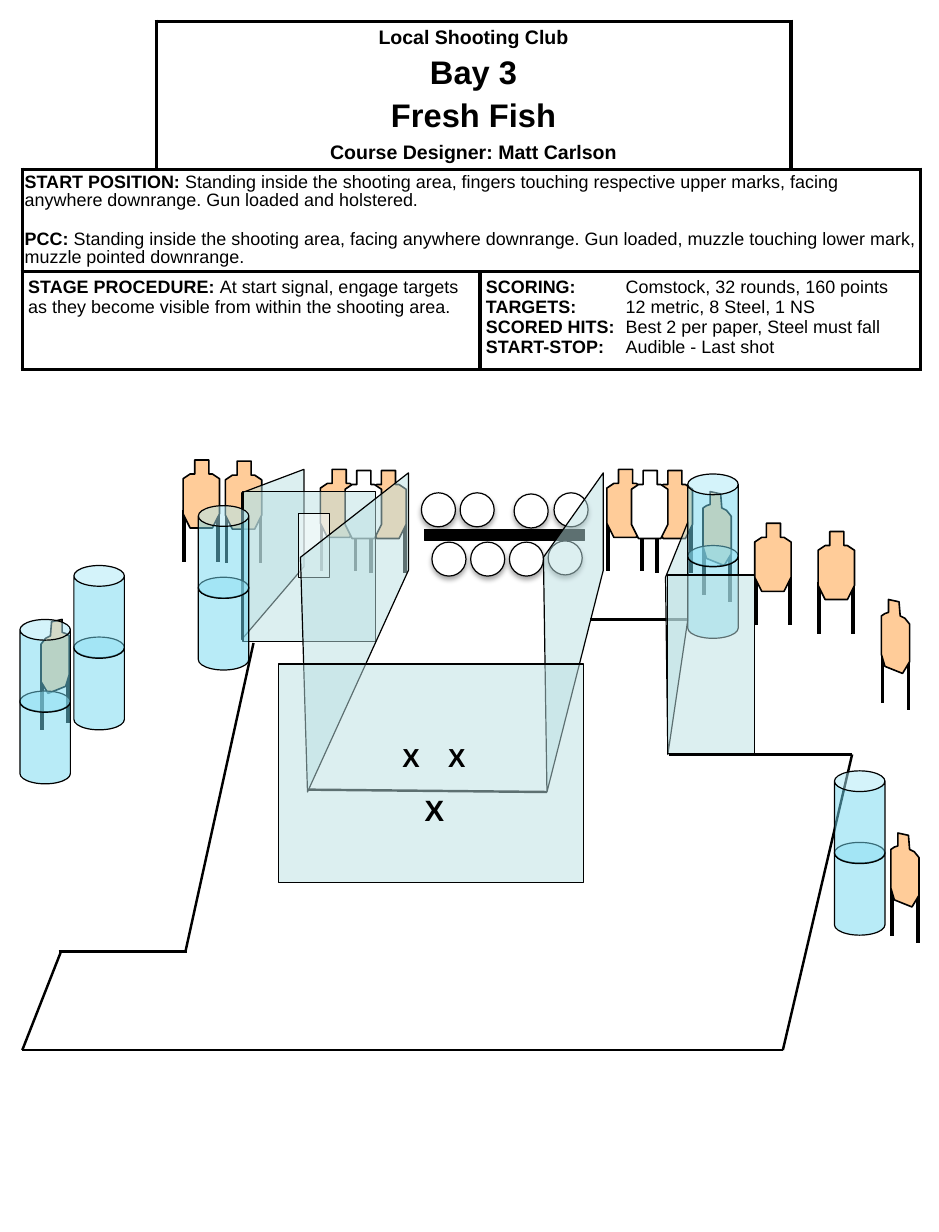
from lxml import etree
from pptx import Presentation
from pptx.dml.color import RGBColor
from pptx.enum.shapes import MSO_CONNECTOR, MSO_SHAPE
from pptx.enum.text import MSO_ANCHOR, PP_ALIGN
from pptx.oxml.ns import qn
from pptx.util import Cm, Pt

STRAIGHT, RECT = MSO_CONNECTOR.STRAIGHT, MSO_SHAPE.RECTANGLE
OVAL, CAN = MSO_SHAPE.OVAL, MSO_SHAPE.CAN
CENTER, LEFT = PP_ALIGN.CENTER, PP_ALIGN.LEFT
TOP, MIDDLE = MSO_ANCHOR.TOP, MSO_ANCHOR.MIDDLE
BLACK = RGBColor(0, 0, 0)
WHITE = RGBColor(255, 255, 255)
CARDBOARD = RGBColor(0xFF, 0xCC, 0x99)
GLASS = RGBColor(0xBB, 0xE0, 0xE3)
BARREL = RGBColor(0x73, 0xD9, 0xF1)

TITLE = [[("Local Shooting Club", True)], [("Bay 3", True)],
         [("Fresh Fish", True)], [("Course Designer: Matt Carlson", True)]]
START = [
    [("START POSITION:", True),
     (" Standing inside the shooting area, fingers touching respective upper marks, "
      "facing anywhere downrange. Gun loaded and holstered.", False)],
    [("PCC: ", True),
     ("Standing inside the shooting area, facing anywhere downrange. Gun loaded, "
      "muzzle touching lower mark, muzzle pointed downrange.", False)],
]
PROCEDURE = [[("STAGE PROCEDURE: ", True),
              ("At start signal, engage targets as they become visible from within "
               "the shooting area.", False)]]
SCORING = [[(label, True), ("\t" + value, False)] for label, value in (
    ("SCORING:", "Comstock, 32 rounds, 160 points"),
    ("TARGETS:", "12 metric, 8 Steel, 1 NS"),
    ("SCORED HITS:", "Best 2 per paper, Steel must fall"),
    ("START-STOP:", "Audible - Last shot"),
)]
COLUMNS = [1.14, 2.76, 2.65, 1.1]
ROWS = [1.26, 0.87, 0.83]
CELLS = [
    (0, 0, 0, "RB", (0.05, 0.05), MIDDLE, [], {}),
    (0, 1, 2, "LRTB", (0.05, 0.05), MIDDLE, TITLE,
     dict(sizes=(12, 20, 20, 12), align=CENTER, before=(0, 4, 4, 4.2))),
    (0, 3, 3, "LB", (0.05, 0.05), MIDDLE, [], {}),
    (1, 0, 3, "LRTB", (0.02, 0.04), TOP, START, dict(before=(0, 13), spacing=0.9)),
    (2, 0, 1, "LRTB", (0.05, 0.05), TOP, PROCEDURE, {}),
    (2, 2, 3, "LRTB", (0.05, 0.05), TOP, SCORING, dict(tab=1.19)),
]

FACING = ([(.10, 0), (.22, 0), (.22, .12), (.25, .12), (.31, .16), (.31, .46),
           (.25, .58), (.06, .58), (0, .46), (0, .16), (.06, .12), (.10, .12)],
          [(.01, .43), (.30, .43)])
TURNED = ([(.15, .02), (.06, 0), (.06, .11), (.03, .12), (0, .14), (0, .47),
           (.03, .57), (.18, .63), (.24, .53), (.24, .21), (.20, .16), (.16, .14)],
          [(.23, .50), (.01, .44)])
MIRRORED = tuple([(round(.24 - x, 2), y) for x, y in part] for part in TURNED)
LEG = 0.44

SCENE = [
    ("line", (6.67, 8.95), (7.26, 6.43)),
    ("targets", TURNED, [(7.51, 5.11)]),
    ("line", (1.58, 8.11), (2.16, 5.48)),
    ("targets", FACING, [(1.92, 3.93)]),
    ("targets", FACING, [(1.56, 3.92)]),
    ("targets", FACING, [(2.73, 4), (3.15, 4.01)], (2.94, 4.01)),
    ("wall", [(2.59, 4.83), (2.06, 5.45), (2.06, 4.2), (2.59, 4)]),
    ("panel", (2.07, 4.19, 1.13, 1.28), GLASS),
    ("panel", (2.54, 4.38, 0.27, 0.54), WHITE),
    ("targets", FACING, [(5.17, 4), (5.59, 4.01)], (5.38, 4.01)),
    ("targets", TURNED, [(5.99, 4.19)]),
    ("table",),
    ("line", (2.62, 6.73), (4.66, 6.75)),
    ("rack", (3.62, 4.51, 1.36, 0.1),
     [(3.59, 4.2), (3.92, 4.2), (4.38, 4.21), (4.72, 4.2),
      (3.68, 4.62), (4.01, 4.62), (4.34, 4.62), (4.67, 4.61)]),
    ("wall", [(3.48, 4.86), (2.62, 6.75), (2.56, 4.75), (3.48, 4.03)]),
    ("wall", [(5.14, 4.86), (4.66, 6.75), (4.63, 4.75), (5.14, 4.03)]),
    ("panel", (2.37, 5.66, 2.6, 1.86), GLASS),
    ("line", (5.03, 5.28), (5.86, 5.28)),
    ("wall", [(5.86, 5.28), (5.69, 6.43), (5.67, 4.92), (5.86, 4.45)]),
    ("barrels", (5.86, 4.04)),
    ("line", (5.7, 6.43), (7.26, 6.43)),
    ("targets", FACING, [(6.43, 4.46)]),
    ("panel", (5.69, 4.9, 0.74, 1.52), GLASS),
    ("targets", FACING, [(6.97, 4.53)]),
    ("line", (0.5, 8.11), (1.59, 8.11)),
    ("line", (0.19, 8.95), (0.52, 8.11)),
    ("targets", MIRRORED, [(0.35, 5.28)]),
    ("barrels", (1.69, 4.31)),
    ("barrels", (0.17, 5.28)),
    ("barrels", (7.11, 6.57)),
    ("targets", TURNED, [(7.59, 7.1)]),
    ("line", (0.19, 8.95), (6.67, 8.95)),
    ("barrels", (0.63, 4.82)),
    ("mark", (3.33, 6.27, 0.91, 0.37), "X\tX", 16, True),
    ("mark", (3.52, 6.7, 0.37, 0.4), "X", 18, False),
]


def inch(value):
    return Cm(value * 2.54)


def write(frame, paragraphs, sizes=None, align=LEFT, before=None, spacing=None, tab=None):
    for i, runs in enumerate(paragraphs):
        paragraph = frame.paragraphs[0] if i == 0 else frame.add_paragraph()
        if tab:
            stops = etree.SubElement(paragraph._p.get_or_add_pPr(), qn("a:tabLst"))
            etree.SubElement(stops, qn("a:tab"), pos=str(inch(tab)), algn="l")
        paragraph.alignment = align
        if spacing:
            paragraph.line_spacing = spacing
        if before and i:
            paragraph.space_before = Pt(before[i])
        for text, bold in runs:
            run = paragraph.add_run()
            run.text = text
            run.font.name, run.font.bold = "Arial", bold
            run.font.size = Pt(sizes[i] if sizes else 11)
            run.font.color.rgb = BLACK


def paint(shape, color, width=0.75, alpha=None):
    shape.shadow.inherit = False
    shape.fill.solid()
    shape.fill.fore_color.rgb = color
    shape.line.color.rgb = BLACK
    shape.line.width = Pt(width)
    if alpha:
        tone = shape._element.spPr.find(qn("a:solidFill"))[0]
        etree.SubElement(tone, qn("a:alpha"), val=str(alpha * 1000))


def draw_line(canvas, start, end, width=1.5):
    line = canvas.add_connector(STRAIGHT, *map(inch, start + end))
    line.line.color.rgb = BLACK
    line.line.width = Pt(width)
    etree.SubElement(line._element.spPr, qn("a:effectLst"))


def draw_outline(canvas, points, color, width=0.75, alpha=None):
    corners = [(inch(x), inch(y)) for x, y in points]
    builder = canvas.build_freeform(*corners[0])
    builder.add_line_segments(corners[1:], close=True)
    paint(builder.convert_to_shape(), color, width, alpha)


def draw_preset(canvas, kind, box, color, alpha=None):
    shape = canvas.add_shape(kind, *map(inch, box))
    paint(shape, color, alpha=alpha)
    return shape


def draw_targets(canvas, template, places, no_shoot=None):
    group = canvas.add_group_shape().shapes
    outline, legs = template
    for left, top in places:
        for x, y in legs:
            draw_line(group, (left + x, top + y), (left + x, top + y + LEG), 2.25)
        draw_outline(group, [(left + x, top + y) for x, y in outline], CARDBOARD, 1)
    if no_shoot:
        left, top = no_shoot
        draw_outline(group, [(left + x, top + y) for x, y in outline], WHITE, 1)


def draw_wall(canvas, points):
    draw_outline(canvas, points, GLASS, alpha=50)


def draw_panel(canvas, box, color):
    draw_preset(canvas, RECT, box, color, alpha=50)


def draw_barrels(canvas, place):
    group = canvas.add_group_shape().shapes
    left, top = place
    for drop in (0.61, 0):
        can = draw_preset(group, CAN, (left, top + drop, 0.43, 0.79), BARREL, alpha=50)
        can.adjustments[0] = 0.41


def draw_rack(canvas, bar, plates):
    group = canvas.add_group_shape().shapes
    draw_preset(group, RECT, bar, BLACK)
    for place in plates:
        plate = draw_preset(group, OVAL, place + (0.29, 0.29), WHITE)
        shadow = etree.SubElement(
            plate._element.spPr.find(qn("a:effectLst")), qn("a:outerShdw"),
            blurRad=str(Pt(3.1)), dist=str(Pt(1.8)), dir="5400000", rotWithShape="0")
        tone = etree.SubElement(shadow, qn("a:srgbClr"), val=str(BLACK))
        etree.SubElement(tone, qn("a:alpha"), val="35000")


def draw_mark(canvas, box, text, size, wrap):
    frame = canvas.add_textbox(*map(inch, box)).text_frame
    frame.word_wrap = wrap
    write(frame, [[(text, True)]], sizes=[size], tab=0.39 if "\t" in text else None)


def draw_border(cell, sides):
    properties = cell._tc.get_or_add_tcPr()
    for side in "LRTB":
        edge = etree.SubElement(properties, qn("a:ln" + side), w=str(Pt(2.25)))
        if side in sides:
            fill = etree.SubElement(edge, qn("a:solidFill"))
            etree.SubElement(fill, qn("a:srgbClr"), val=str(BLACK))
        else:
            etree.SubElement(edge, qn("a:noFill"))


def draw_table(canvas):
    box = (0.19, 0.18, sum(COLUMNS), sum(ROWS))
    table = canvas.add_table(len(ROWS), len(COLUMNS), *map(inch, box)).table
    table.first_row = table.horz_banding = False
    for column, width in zip(table.columns, COLUMNS):
        column.width = inch(width)
    for row, height in zip(table.rows, ROWS):
        row.height = inch(height)
    for row, first, last, sides, (across, down), anchor, text, layout in CELLS:
        origin = table.cell(row, first)
        if last > first:
            origin.merge(table.cell(row, last))
        for column in range(first, last + 1):
            cell = table.cell(row, column)
            inner = "TB" + ("R" if column == last else "")
            draw_border(cell, sides if column == first else inner)
            cell.fill.solid()
            cell.fill.fore_color.rgb = WHITE
        origin.margin_left = origin.margin_right = inch(across)
        origin.margin_top = origin.margin_bottom = inch(down)
        origin.vertical_anchor = anchor
        write(origin.text_frame, text, **layout)


DRAW = dict(line=draw_line, targets=draw_targets, wall=draw_wall, panel=draw_panel,
            barrels=draw_barrels, rack=draw_rack, mark=draw_mark, table=draw_table)


def main():
    deck = Presentation()
    deck.slide_width, deck.slide_height = inch(8), inch(10.5)
    canvas = deck.slides.add_slide(deck.slide_layouts[6]).shapes
    for part, *details in SCENE:
        DRAW[part](canvas, *details)
    deck.save("out.pptx")


if __name__ == "__main__":
    main()
